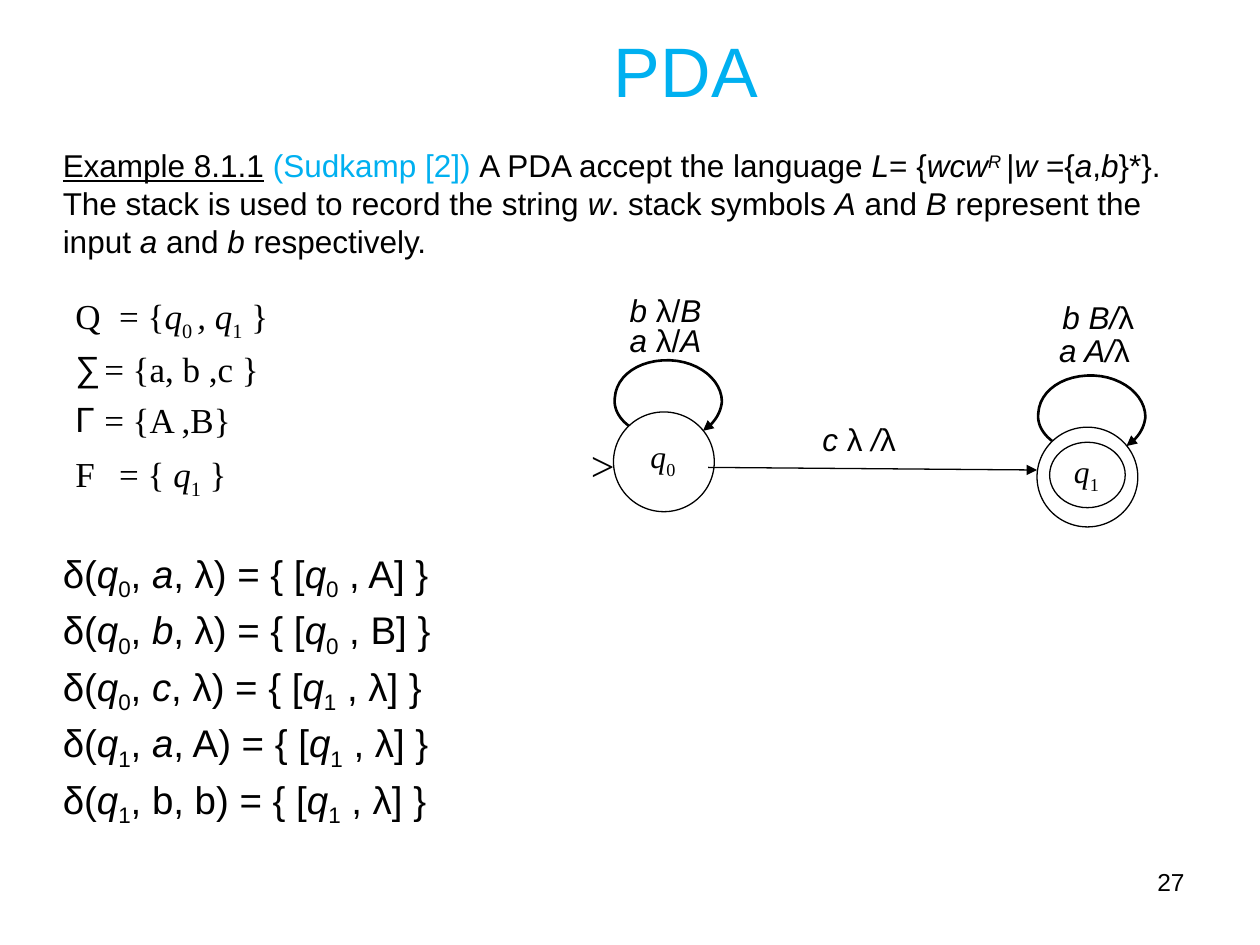
from dataclasses import dataclass

from pptx import Presentation
from pptx.dml.color import RGBColor
from pptx.enum.shapes import MSO_CONNECTOR as Connector, MSO_SHAPE as Shape
from pptx.enum.text import MSO_ANCHOR as Anchor, PP_ALIGN as Align
from pptx.oxml.ns import qn
from pptx.util import Pt
from lxml.etree import SubElement


@dataclass(frozen=True)
class Theme:
    black: RGBColor = RGBColor(0, 0, 0)
    accent: RGBColor = RGBColor(0x00, 0xB0, 0xF0)
    sans: str = "Arial"
    serif: str = "Times New Roman"
    title: int = 40
    symbol: int = 24
    rule: int = 22
    tuple: int = 20
    body: int = 18
    number: int = 14
    thin: float = 0.75
    thick: float = 1.5


THEME = Theme()


def add_text(paragraph, text, size=THEME.body, font=THEME.sans,
             color=THEME.black, underline=None):
    """Add marked-up text: ~ toggles italic, _ subscript, ^ superscript."""
    active = {"~": False, "_": False, "^": False}

    def add_run(content):
        if not content:
            return
        run = paragraph.add_run()
        run.text = content
        run.font.size, run.font.name = Pt(size), font
        run.font.color.rgb = color
        run.font.underline = underline
        run.font.italic = active["~"]
        if active["_"] or active["^"]:
            run.font._element.set("baseline", "-25000" if active["_"] else "30000")

    piece = ""
    for character in text:
        if character in active:
            add_run(piece)
            piece = ""
            active[character] = not active[character]
        else:
            piece += character
    add_run(piece)


def set_spacing(paragraph, before, line):
    paragraph.space_before = Pt(before)
    paragraph.line_spacing = line


def set_bullet(paragraph, symbol, indent):
    properties = paragraph._p.get_or_add_pPr()
    properties.set("marL", str(Pt(indent)))
    properties.set("indent", str(-Pt(indent)))
    SubElement(properties, qn("a:buFont"), typeface=THEME.sans)
    SubElement(properties, qn("a:buChar"), char=symbol)


def set_tab(paragraph, position):
    tabs = SubElement(paragraph._p.get_or_add_pPr(), qn("a:tabLst"))
    SubElement(tabs, qn("a:tab"), pos=str(Pt(position)), algn="l")


def bezier(start, first, second, end, steps=12):
    """Points along a cubic curve, without its start."""
    for step in range(1, steps + 1):
        t = step / steps
        weights = (1 - t) ** 3, 3 * t * (1 - t) ** 2, 3 * t * t * (1 - t), t ** 3
        yield tuple(sum(w * p for w, p in zip(weights, axis))
                    for axis in zip(start, first, second, end))


class SlideBuilder:
    def __init__(self, presentation, theme):
        self.theme = theme
        self.slide = presentation.slides.add_slide(presentation.slide_layouts[5])
        self.shapes = self.slide.shapes

    def title(self, text, left, top, width, height):
        shape = self.shapes.title
        shape.left, shape.top = Pt(left), Pt(top)
        shape.width, shape.height = Pt(width), Pt(height)
        frame = shape.text_frame
        frame.vertical_anchor = Anchor.MIDDLE
        frame.margin_left = Pt(29.4)
        frame.paragraphs[0].alignment = Align.CENTER
        add_text(frame.paragraphs[0], text, size=self.theme.title,
                 color=self.theme.accent)

    def box(self, left, top, width, height, inset=7.2, wrap=True):
        shape = self.shapes.add_textbox(Pt(left), Pt(top), Pt(width), Pt(height))
        frame = shape.text_frame
        frame.word_wrap = wrap
        frame.margin_left = Pt(inset)
        return frame

    def label(self, text, left, top, width, height, inset=7.2, wrap=True,
              align=Align.LEFT, **style):
        paragraph = self.box(left, top, width, height, inset, wrap).paragraphs[0]
        paragraph.alignment = align
        add_text(paragraph, text, **style)

    def outline(self, shape, weight, arrow=False):
        shape.line.color.rgb = self.theme.black
        shape.line.width = Pt(weight)
        if arrow:
            SubElement(shape.line._get_or_add_ln(), qn("a:tailEnd"), type="triangle")

    def ellipse(self, left, top, width, height):
        shape = self.shapes.add_shape(Shape.OVAL, Pt(left), Pt(top),
                                      Pt(width), Pt(height))
        shape.fill.background()
        shape.shadow.inherit = False
        self.outline(shape, self.theme.thin)

    def loop(self, left, top, controls):
        points = [(left + x, top + y) for x, y in controls]
        curve = [points[0]]
        for index in range(0, len(points) - 1, 3):
            curve.extend(bezier(*points[index:index + 4]))
        start, *rest = [(Pt(x), Pt(y)) for x, y in curve]
        builder = self.shapes.build_freeform(*start)
        builder.add_line_segments(rest, close=False)
        shape = builder.convert_to_shape()
        shape.fill.background()
        shape.shadow.inherit = False
        self.outline(shape, self.theme.thick, arrow=True)

    def arrow(self, x1, y1, x2, y2):
        line = self.shapes.add_connector(Connector.STRAIGHT,
                                         Pt(x1), Pt(y1), Pt(x2), Pt(y2))
        self.outline(line, self.theme.thin, arrow=True)
        SubElement(line._element.spPr, qn("a:effectLst"))


def main():
    presentation = Presentation()
    presentation.slide_width, presentation.slide_height = Pt(720), Pt(540)
    builder = SlideBuilder(presentation, THEME)
    builder.title("PDA", 264.2, 17.3, 233.3, 45.4)

    # Example statement and transition function
    frame = builder.box(28.8, 79.9, 655.2, 408.2)
    intro = frame.paragraphs[0]
    set_spacing(intro, 0, Pt(21.7))
    add_text(intro, "Example 8.1.1", underline=True)
    add_text(intro, " ")
    add_text(intro, "(Sudkamp [2]) ", color=THEME.accent)
    add_text(intro, "A PDA accept the language ~L~= {~wcw^R ^~|~w~ ={~a~,~b~}*}. "
             "The stack is used to record the string ~w~. stack symbols ~A~ and ~B~ "
             "represent the input ~a~ and ~b~ respectively.")
    transitions = [("0", "~a~", "λ", "0", "A"), ("0", "~b~", "λ", "0", "B"),
                   ("0", "~c~", "λ", "1", "λ"), ("1", "~a~", "A", "1", "λ"),
                   ("1", "b", "b", "1", "λ")]
    for index, (state, symbol, top, target, push) in enumerate(transitions):
        paragraph = frame.add_paragraph()
        set_spacing(paragraph, 6.9 if index else 170.2, Pt(25.4))
        add_text(paragraph, f"δ(~q~_{state}_, {symbol}, {top}) = "
                 f"{{ [~q~_{target}_ , {push}] }}", size=THEME.rule)

    # Components of the automaton
    frame = builder.box(36, 164.9, 562.3, 152.6)
    components = [(None, "Q\t= {~q~_0 _~, q~_1_ }"), ("∑", "= {a, b ,c }"),
                  ("Γ", "= {A ,B}"), (None, "F\t= {~ q~_1_ }")]
    for index, (bullet, text) in enumerate(components):
        paragraph = frame.add_paragraph() if index else frame.paragraphs[0]
        set_spacing(paragraph, 6.2, 0.95)
        if bullet:
            set_bullet(paragraph, bullet, 16.5)
        else:
            set_tab(paragraph, 25)
        add_text(paragraph, text, size=THEME.tuple, font=THEME.serif)

    # States with their loops
    loop_controls = [(8.6, 7.9), (2.9, 3.6), (0, -2.2), (0.7, -7.9),
                     (1.4, -20.9), (15.1, -30.2), (32.4, -29.5),
                     (49, -28.8), (61.9, -18), (61.9, -5.8),
                     (61.2, 0.7), (57.6, 6.5), (51.1, 10.8)]
    for name, left, top in [("~q~_0_", 350.6, 235.4), ("~q~_1_", 592.6, 244.1)]:
        builder.ellipse(left, top, 57.6, 57)
        builder.label(name, left + 9.4, top + 10.8, 44.6, 31.7, inset=11.7,
                      font=THEME.serif)
        builder.loop(left, top, loop_controls)
    builder.ellipse(599.8, 252.7, 43.2, 37.4)  # accepting state

    # Start mark and transition arrow
    builder.label(">", 330.5, 247.7, 28.1, 36, wrap=False,
                  size=THEME.symbol, font=THEME.serif)
    builder.arrow(404.6, 267.1, 592.6, 268.6)

    # Transition labels
    for text, left, top in [("~b ~λ/~B~", 339.1, 162.7), ("~a ~λ/~A~", 339.1, 180),
                            ("~c ~λ ~/~λ", 449.3, 236.2),
                            ("~a A/~λ", 584.6, 185.8)]:
        builder.label(text, left, top, 118.1, 28.8, inset=20.7)
    builder.label("~b B/~λ", 595.4, 167, 64.8, 28.8, inset=11.7, wrap=False)

    # Slide number
    builder.label("27", 516.2, 491.8, 167.8, 37.4, align=Align.RIGHT,
                  size=THEME.number)
    presentation.save("out.pptx")


if __name__ == "__main__":
    main()
